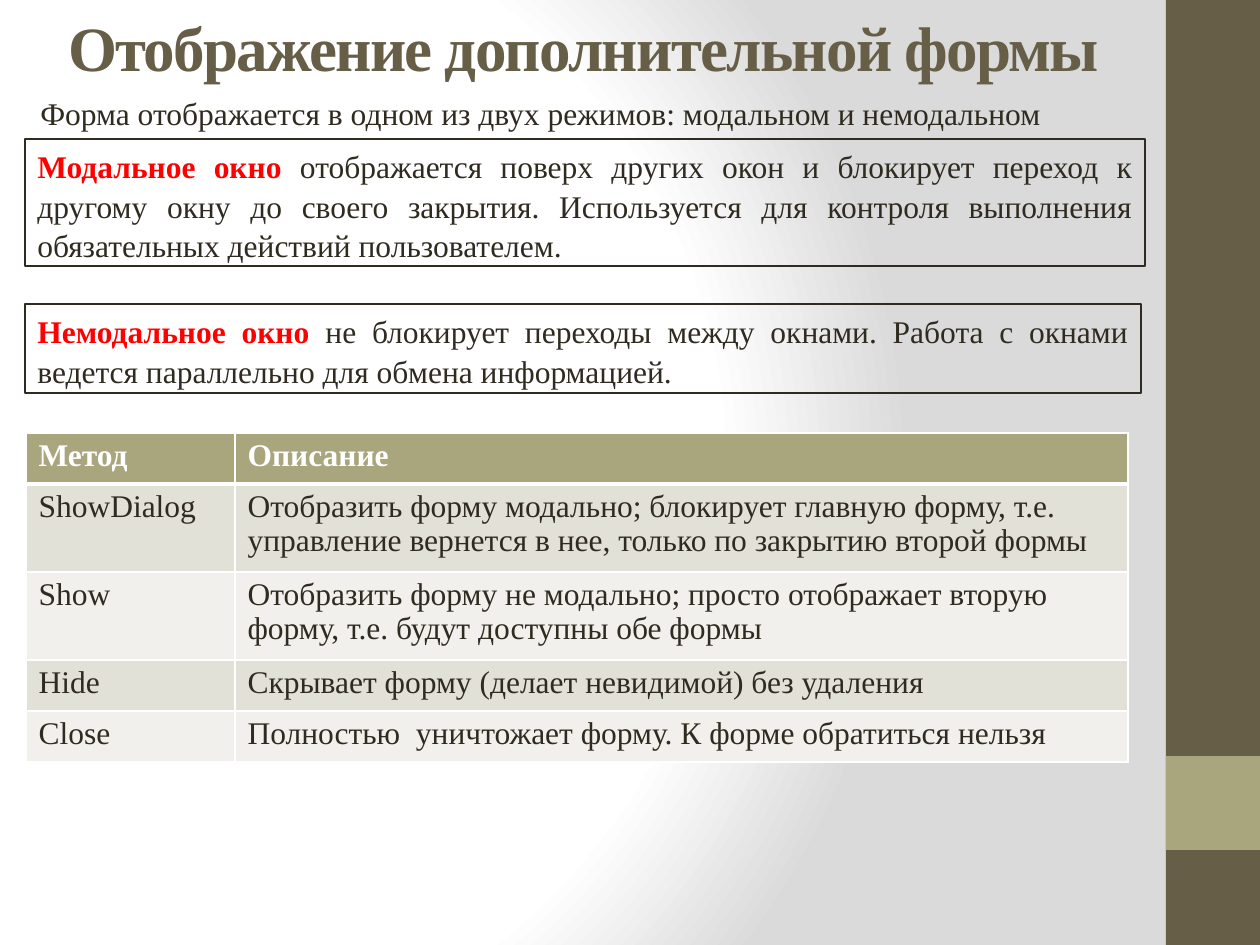
from dataclasses import dataclass

from pptx import Presentation
from pptx.dml.color import RGBColor
from pptx.enum.shapes import MSO_SHAPE
from pptx.enum.text import MSO_ANCHOR, PP_ALIGN
from pptx.oxml import parse_xml
from pptx.oxml.ns import nsdecls
from pptx.util import Pt

EMU_PER_PX = 914400 / 126


@dataclass(frozen=True)
class Theme:
    font: str = "Times New Roman"
    title_size: int = 36
    body_size: int = 18
    brown: str = "675E47"
    olive: str = "A9A57C"
    ink: str = "2F2B20"
    accent: str = "FF0000"
    white: str = "FFFFFF"
    gray: str = "DADADA"
    bands: tuple = ("E2E1D7", "F1F0EC")


def px(*lengths):
    return [round(length * EMU_PER_PX) for length in lengths]


def add_run(paragraph, text, *, font, size, color, bold=False, spacing=0):
    run = paragraph.add_run()
    run.text = text
    run.font.name = font
    run.font.size = Pt(size)
    run.font.bold = bold
    run.font.color.rgb = RGBColor.from_string(color)
    if spacing:
        run.font._element.set("spc", str(spacing))


class SlideBuilder:
    def __init__(self, slide, theme):
        self.slide = slide
        self.theme = theme

    def background(self):
        stops = ((0, self.theme.white), (75, self.theme.white), (100, self.theme.gray))
        stop_xml = "".join(
            f'<a:gs pos="{position * 1000}"><a:srgbClr val="{color}"/></a:gs>'
            for position, color in stops)
        self.slide._element.cSld.insert(0, parse_xml(
            f'<p:bg {nsdecls("p", "a")}><p:bgPr><a:gradFill rotWithShape="1">'
            f'<a:gsLst>{stop_xml}</a:gsLst><a:path path="circle">'
            '<a:fillToRect l="20000" t="50000" r="100000" b="50000"/></a:path>'
            '</a:gradFill><a:effectLst/></p:bgPr></p:bg>'))

    def rectangle(self, left, top, width, height, fill=None, line=None):
        shape = self.slide.shapes.add_shape(
            MSO_SHAPE.RECTANGLE, *px(left, top, width, height))
        shape.shadow.inherit = False
        if fill:
            shape.fill.solid()
            shape.fill.fore_color.rgb = RGBColor.from_string(fill)
        else:
            shape.fill.background()
        if line:
            shape.line.color.rgb = RGBColor.from_string(line)
            shape.line.width = Pt(0.75)
        else:
            shape.line.fill.background()
        return shape

    def fill_text(self, frame, runs, align=PP_ALIGN.LEFT, line_spacing=1.0):
        """Fill a text frame with (text, format) pairs over the body style."""
        frame.word_wrap = True
        frame.vertical_anchor = MSO_ANCHOR.TOP
        paragraph = frame.paragraphs[0]
        paragraph.alignment = align
        paragraph.line_spacing = line_spacing
        body = {"font": self.theme.font, "size": self.theme.body_size,
                "color": self.theme.ink}
        for text, style in runs:
            add_run(paragraph, text, **(body | style))

    def text(self, left, top, width, height, content, align=PP_ALIGN.LEFT,
             line_spacing=1.0, **style):
        box = self.slide.shapes.add_textbox(*px(left, top, width, height))
        self.fill_text(box.text_frame, [(content, style)], align, line_spacing)

    def definition(self, left, top, width, height, term, meaning):
        shape = self.rectangle(left, top, width, height, line=self.theme.ink)
        runs = [(term + " ", {"color": self.theme.accent, "bold": True}), (meaning, {})]
        self.fill_text(shape.text_frame, runs, PP_ALIGN.JUSTIFY, 1.05)

    def cell_borders(self, cell, **widths):
        properties = cell._tc.get_or_add_tcPr()
        for index, side in enumerate("LRTB"):
            width = Pt(widths.get(side, 1))
            properties.insert(index, parse_xml(
                f'<a:ln{side} {nsdecls("a")} w="{width}"><a:solidFill>'
                f'<a:srgbClr val="{self.theme.white}"/></a:solidFill></a:ln{side}>'))

    def table(self, left, top, column_widths, row_heights, rows):
        frame = self.slide.shapes.add_table(
            len(rows), len(column_widths),
            *px(left, top, sum(column_widths), sum(row_heights)))
        table = frame.table
        for column, width in zip(table.columns, px(*column_widths)):
            column.width = width
        for row, height in zip(table.rows, px(*row_heights)):
            row.height = height
        for row_index, values in enumerate(rows):
            header = row_index == 0
            style = {"color": self.theme.white, "bold": True} if header else {}
            fill = self.theme.olive if header else self.theme.bands[(row_index - 1) % 2]
            for column_index, value in enumerate(values):
                cell = table.cell(row_index, column_index)
                cell.fill.solid()
                cell.fill.fore_color.rgb = RGBColor.from_string(fill)
                self.fill_text(cell.text_frame, [(value, style)], line_spacing=0.97)
                self.cell_borders(cell, B=3 if header else 1,
                                  T=3 if row_index == 1 else 1)


def main():
    theme = Theme()
    presentation = Presentation()
    presentation.slide_width, presentation.slide_height = px(1260, 945)
    slide = presentation.slides.add_slide(presentation.slide_layouts[6])
    builder = SlideBuilder(slide, theme)

    # Background and side band
    builder.background()
    builder.rectangle(1166, 0, 94, 945, fill=theme.brown)
    builder.rectangle(1166, 756, 94, 94, fill=theme.olive)

    # Title and introduction
    builder.text(2, 2, 1163, 90, "Отображение дополнительной формы", PP_ALIGN.CENTER,
                 size=theme.title_size, color=theme.brown, bold=True, spacing=-100)
    builder.text(28, 86, 1123, 50,
                 "Форма отображается в одном из двух режимов: модальном и немодальном",
                 line_spacing=1.05)

    # Definitions of the two modes
    builder.definition(
        25, 139, 1120, 127, "Модальное окно",
        "отображается поверх других окон и блокирует переход к другому окну до своего "
        "закрытия. Используется для контроля выполнения обязательных действий "
        "пользователем.")
    builder.definition(
        25, 304, 1116, 89, "Немодальное окно",
        "не блокирует переходы между окнами. Работа с окнами ведется параллельно для "
        "обмена информацией.")

    # Form methods
    builder.table(26, 433, (209, 893), (51, 88, 88, 51, 51), (
        ("Метод", "Описание"),
        ("ShowDialog", "Отобразить форму модально; блокирует главную форму, т.е. "
                       "управление вернется в нее, только по закрытию второй формы"),
        ("Show", "Отобразить форму не модально; просто отображает вторую форму, "
                 "т.е. будут доступны обе формы"),
        ("Hide", "Скрывает форму (делает невидимой) без удаления"),
        ("Close", "Полностью  уничтожает форму. К форме обратиться нельзя"),
    ))

    presentation.save("out.pptx")


if __name__ == "__main__":
    main()
